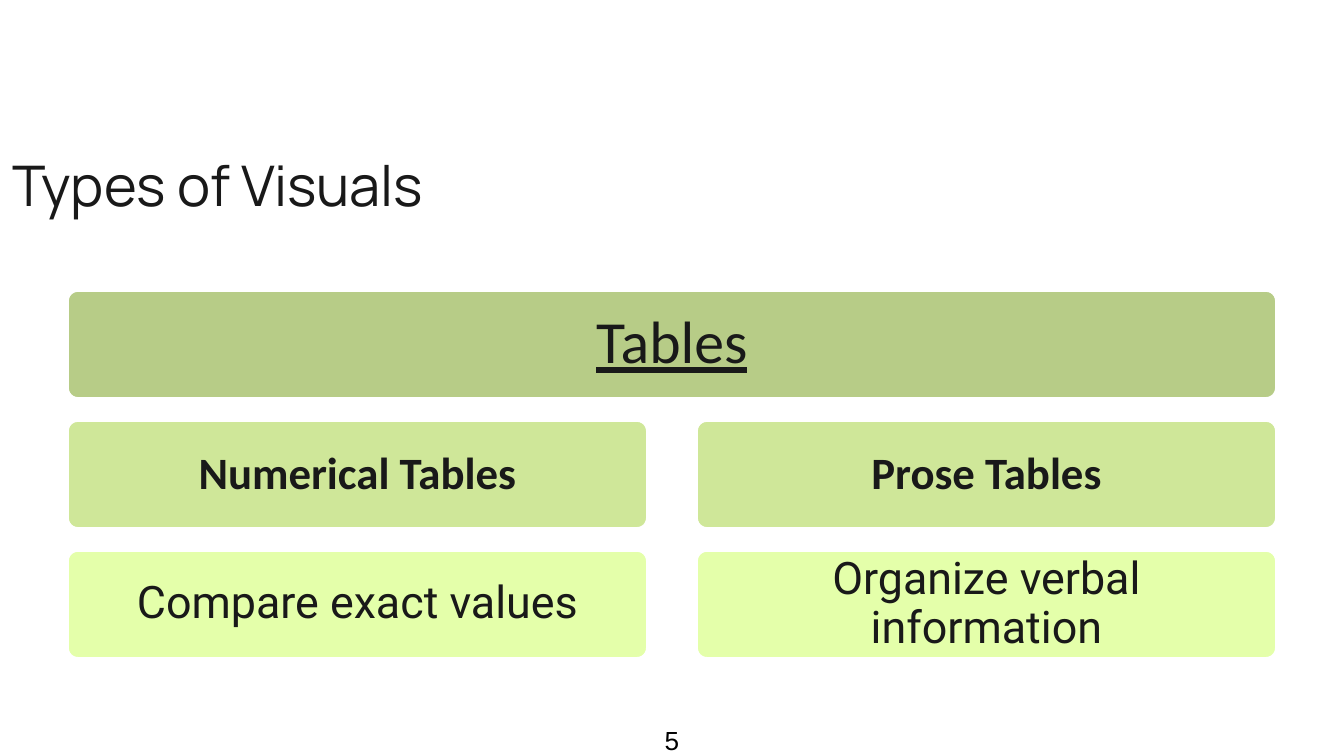
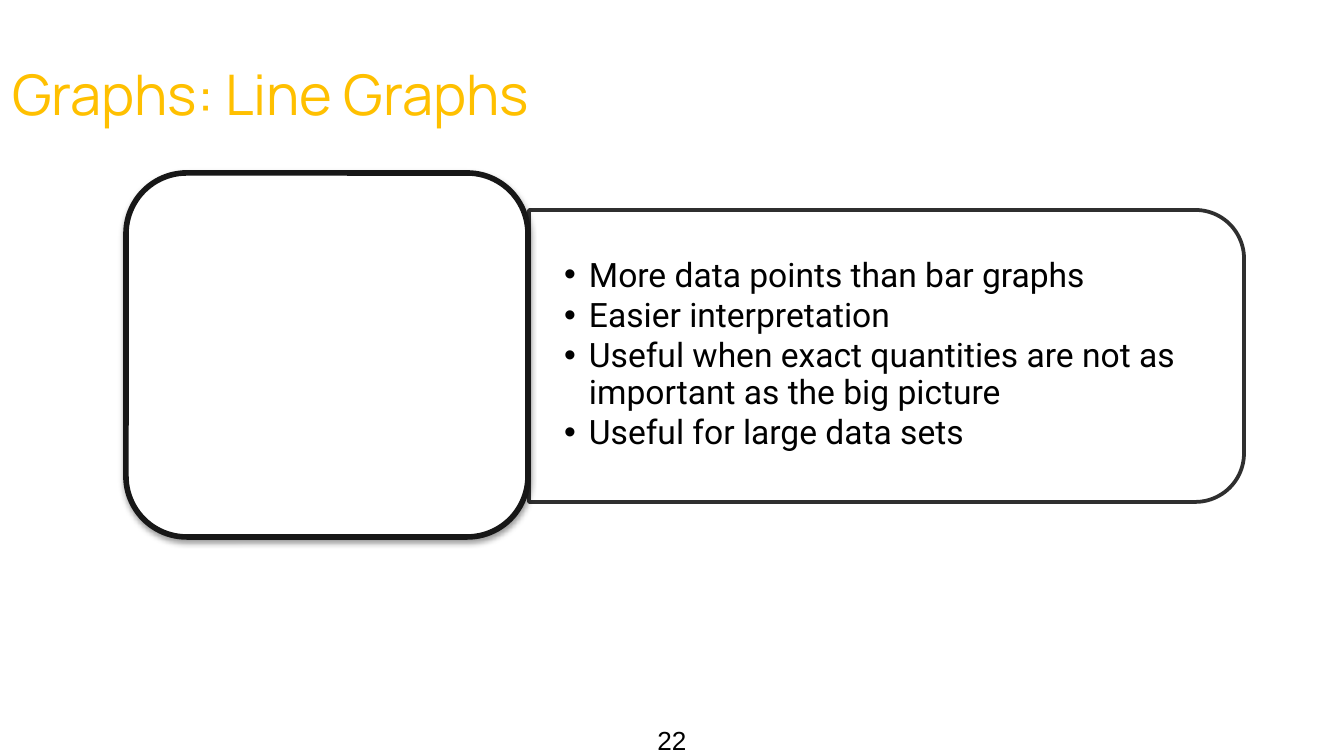
"""Build two slides on types of visuals: tables and line graphs."""
from lxml import etree
from pptx import Presentation
from pptx import util as u
from pptx.dml.color import RGBColor
from pptx.enum import shapes, text
from pptx.oxml.ns import qn

PX = 914400 / 134.4
COLORS = {
    "ink": "191919", "black": "000000", "white": "FFFFFF", "gold": "FFC000",
    "olive": "B7CC87", "green": "CFE799", "lime": "E4FFAA", "frame": "171717",
}
INSETS = (13, 13, 13, 13)

HEADING = "Tables"
COLUMNS = [
    ("Numerical Tables", "Compare exact values"),
    ("Prose Tables", "Organize verbal information"),
]
POINTS = [
    "More data points than bar graphs",
    "Easier interpretation",
    "Useful when exact quantities are not as important as the big picture",
    "Useful for large data sets",
]

CARD_LEFT, CARD_TOP, CARD_W, CARD_H = 67, 290, 581, 109
GAP_X, GAP_Y = 48, 21


def px(n):
    return u.Emu(round(n * PX))


def color(name):
    return RGBColor.from_string(COLORS[name])


def child(parent, tag, **attrs):
    return etree.SubElement(parent, qn(tag), {k: str(v) for k, v in attrs.items()})


def set_text(sp, lines, font, size, ink, align=text.PP_ALIGN.CENTER,
             anchor=text.MSO_ANCHOR.MIDDLE, insets=INSETS, spacing=1.0,
             bold=False, underline=False):
    tf = sp.text_frame
    tf.word_wrap = True
    tf.auto_size = text.MSO_AUTO_SIZE.NONE
    tf.vertical_anchor = anchor
    tf.margin_left, tf.margin_top, tf.margin_right, tf.margin_bottom = map(px, insets)
    tf.text = "\n".join(lines)
    for p in tf.paragraphs:
        p.alignment = align
        p.line_spacing = spacing
        for r in p.runs:
            f = r.font
            f.name, f.size, f.bold, f.underline = font, u.Pt(size), bold, underline
            f.color.rgb = color(ink)
    return tf


def add_box(s, kind, box, fill, line, width):
    sp = s.shapes.add_shape(kind, *map(px, box))
    sp.shadow.inherit = False
    sp.fill.solid()
    sp.fill.fore_color.rgb = color(fill)
    sp.line.color.rgb = color(line)
    sp.line.width = u.Pt(width)
    return sp


def add_slide(prs, title, top, ink, number):
    s = prs.slides.add_slide(prs.slide_layouts[5])
    sp = s.shapes.title
    sp.left, sp.top, sp.width, sp.height = map(px, (-1, top, 1345, 126))
    set_text(sp, [title], "Manrope", 30, ink, text.PP_ALIGN.LEFT, text.MSO_ANCHOR.TOP)
    page = s.shapes.add_textbox(*map(px, (632, 711, 80, 46)))
    set_text(page, [str(number)], "Arial", 14, "black", anchor=text.MSO_ANCHOR.TOP)
    return s


def add_card(s, col, row, span, label, fill, font, size, **style):
    width = span * CARD_W + (span - 1) * GAP_X
    box = (CARD_LEFT + col * (CARD_W + GAP_X), CARD_TOP + row * (CARD_H + GAP_Y),
           width, CARD_H)
    sp = add_box(s, shapes.MSO_SHAPE.ROUNDED_RECTANGLE, box, fill, "white", 2)
    sp.adjustments[0] = 0.1
    set_text(sp, [label], font, size, "ink", insets=(14, 13, 14, 13), spacing=0.9, **style)


def tables_slide(prs):
    s = add_slide(prs, "Types of Visuals", 138, "ink", 5)
    add_card(s, 0, 0, 2, HEADING, "olive", "Calibri", 32, underline=True)
    for col, (name, use) in enumerate(COLUMNS):
        add_card(s, col, 1, 1, name, "green", "Calibri", 24, bold=True)
        add_card(s, col, 2, 1, use, "lime", "Roboto", 24)


def add_panel(s, left, top, width, height):
    shift = (width - height) / 2
    box = (left + shift, top - shift, height, width)
    sp = add_box(s, shapes.MSO_SHAPE.ROUND_2_SAME_RECTANGLE, box, "white", "ink", 2)
    sp.rotation = 90
    for clr in sp._element.spPr.iter(qn("a:srgbClr")):
        child(clr, "a:alpha", val=90000)


def add_points(s, box):
    sp = s.shapes.add_textbox(*map(px, box))
    tf = set_text(sp, POINTS, "Roboto", 18, "black", text.PP_ALIGN.LEFT,
                  insets=(36, 19, 36, 19), spacing=0.9)
    for p in tf.paragraphs:
        p.level = 1
        p.space_after = u.Pt(2.2)
        pr = p._p.get_or_add_pPr()
        pr.set("marL", str(px(25)))
        pr.set("indent", str(px(-25)))
        child(child(pr, "a:buClr"), "a:srgbClr", val=COLORS["black"])
        child(pr, "a:buFont", typeface="Arial")
        child(pr, "a:buChar", char="•")


def add_frame(s, box):
    sp = add_box(s, shapes.MSO_SHAPE.ROUNDED_RECTANGLE, box, "white", "frame", 3)
    effects = sp._element.spPr.find(qn("a:effectLst"))
    shadow = child(effects, "a:outerShdw", blurRad=u.Pt(3.1), dist=u.Pt(1.6),
                   dir=5400000, rotWithShape=0)
    child(child(shadow, "a:srgbClr", val=COLORS["black"]), "a:alpha", val=38000)


def graphs_slide(prs):
    s = add_slide(prs, "Graphs: Line Graphs", 47, "gold", 22)
    add_panel(s, 529, 210, 715, 292)
    add_points(s, (528, 224, 700, 262))
    add_frame(s, (126, 173, 402, 364))


def main():
    prs = Presentation()
    prs.slide_width, prs.slide_height = px(1344), px(756)
    tables_slide(prs)
    graphs_slide(prs)
    prs.save("out.pptx")


if __name__ == "__main__":
    main()
